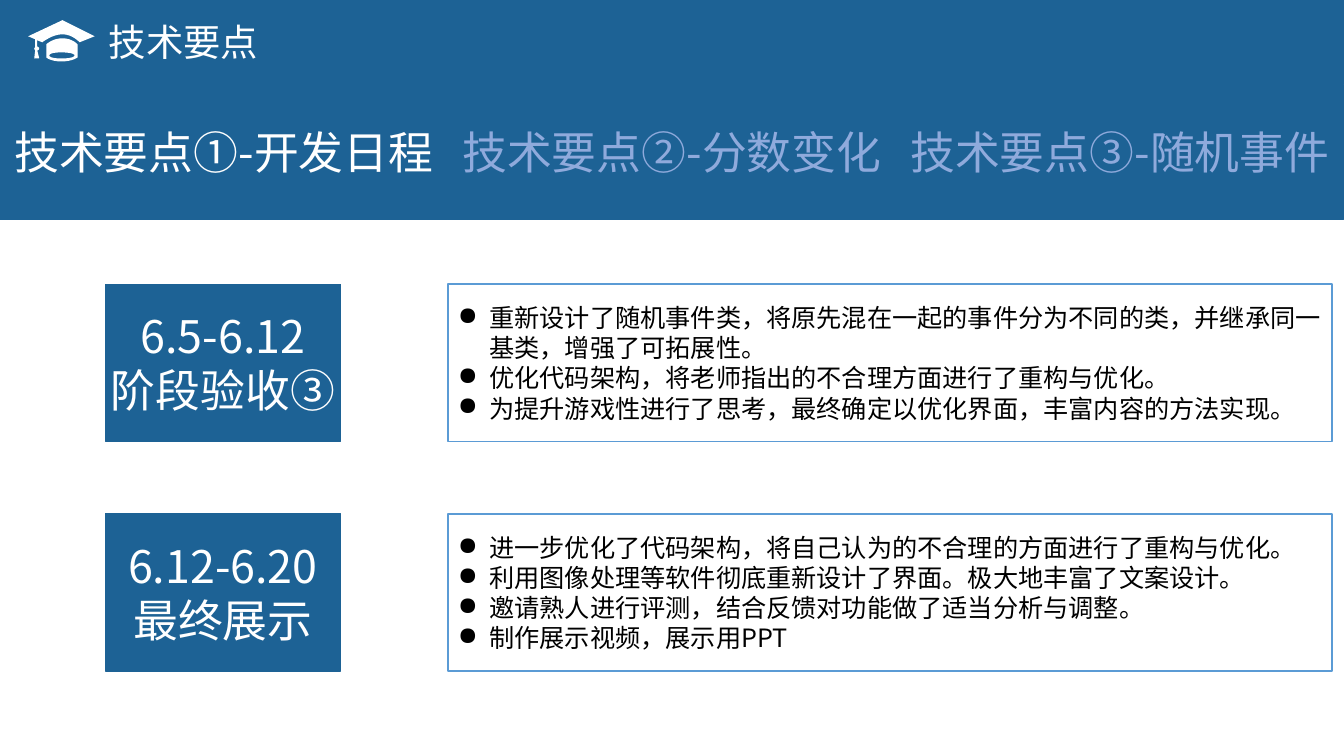
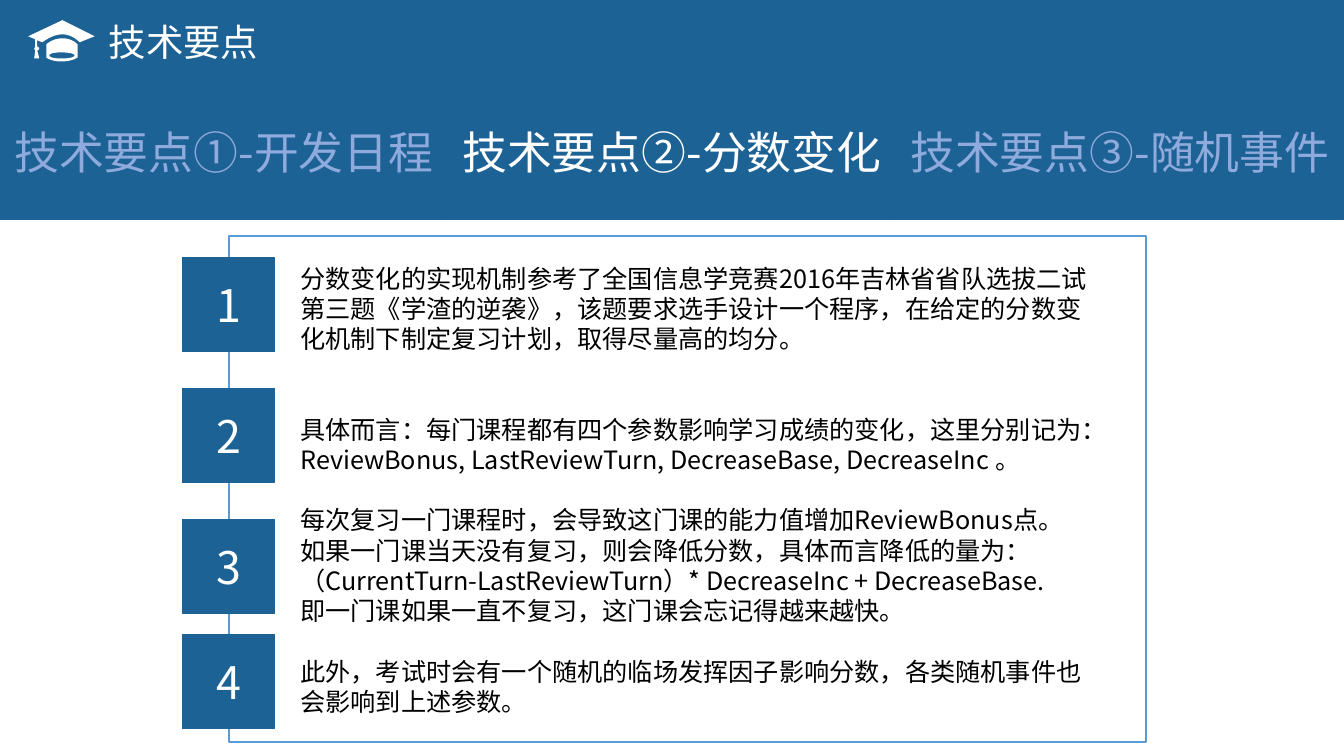
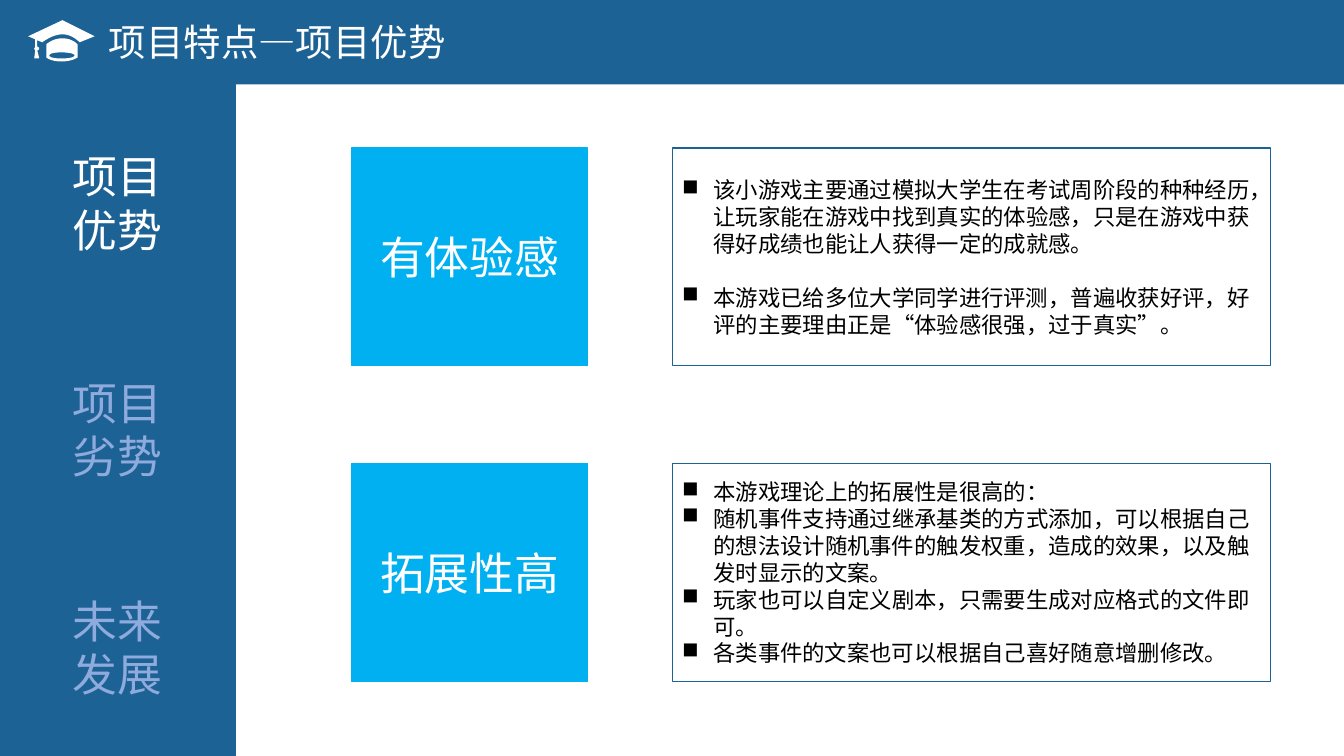
"""Build three slides on the schedule, scoring and strengths of a student game."""
from lxml.etree import SubElement
from pptx import Presentation
from pptx.dml.color import RGBColor
from pptx.enum.shapes import MSO_SHAPE as Kind
from pptx.enum.text import MSO_ANCHOR as Anchor, MSO_AUTO_SIZE as Fit, PP_ALIGN as Align
from pptx.oxml.ns import qn
from pptx.util import Cm, Pt

FONT = "Noto Sans CJK SC"
NAVY, SKY, EDGE = "1D6295", "00B0F0", "5B9BD5"
WHITE, BLACK, FADED = "FFFFFF", "000000", "8FAADC"
WIDE, HIGH, BAND = 33.87, 19.05, 2.13
TILE = 5.94
LEAD = 1.2

TABS = ["技术要点①-开发日程", "技术要点②-分数变化", "技术要点③-随机事件"]

STAGES = [
    (["6.5-6.12", "阶段验收③"], [
        "重新设计了随机事件类，将原先混在一起的事件分为不同的类，并继承同一基类，增强了可拓展性。",
        "优化代码架构，将老师指出的不合理方面进行了重构与优化。",
        "为提升游戏性进行了思考，最终确定以优化界面，丰富内容的方法实现。",
    ], {}),
    (["6.12-6.20", "最终展示"], [
        "进一步优化了代码架构，将自己认为的不合理的方面进行了重构与优化。",
        "利用图像处理等软件彻底重新设计了界面。极大地丰富了文案设计。",
        "邀请熟人进行评测，结合反馈对功能做了适当分析与调整。",
        "制作展示视频，展示用PPT",
    ], {}),
]

SCORING = [
    "分数变化的实现机制参考了全国信息学竞赛2016年吉林省省队选拔二试第三题《学渣的逆袭》，"
    "该题要求选手设计一个程序，在给定的分数变化机制下制定复习计划，取得尽量高的均分。",
    "具体而言：每门课程都有四个参数影响学习成绩的变化，这里分别记为：",
    "ReviewBonus, LastReviewTurn, DecreaseBase, DecreaseInc 。",
    "每次复习一门课程时，会导致这门课的能力值增加ReviewBonus点。",
    "如果一门课当天没有复习，则会降低分数，具体而言降低的量为：",
    "（CurrentTurn-LastReviewTurn）* DecreaseInc + DecreaseBase.",
    "即一门课如果一直不复习，这门课会忘记得越来越快。",
    "此外，考试时会有一个随机的临场发挥因子影响分数，各类随机事件也会影响到上述参数。",
]
SCORE_GAPS = {1: 2, 3: 1, 7: 1}
STEP_TOPS = [6.5, 9.8, 13.08, 16]

SIDE = [["项目", "优势"], ["项目", "劣势"], ["未来", "发展"]]
SIDE_TOPS = [BAND, 8.07, 13.56, HIGH]

MERITS = [
    (["有体验感"], [
        "该小游戏主要通过模拟大学生在考试周阶段的种种经历，让玩家能在游戏中找到真实的体验感，"
        "只是在游戏中获得好成绩也能让人获得一定的成就感。",
        "本游戏已给多位大学同学进行评测，普遍收获好评，好评的主要理由正是“体验感很强，过于真实”。",
    ], {1: 1}),
    (["拓展性高"], [
        "本游戏理论上的拓展性是很高的：",
        "随机事件支持通过继承基类的方式添加，可以根据自己的想法设计随机事件的触发权重，"
        "造成的效果，以及触发时显示的文案。",
        "玩家也可以自定义剧本，只需要生成对应格式的文件即可。",
        "各类事件的文案也可以根据自己喜好随意增删修改。",
    ], {}),
]

CAP_UNIT = Cm(0.0254)
CAP = [
    [(79, 42), (79, 42, 72, 34, 62, 34), (52, 34, 42, 42, 42, 42), (37, 40), (37, 46),
     (38, 47, 39, 47, 39, 48), (39, 49, 38, 50, 37, 50), (39, 58), (34, 58), (35, 50),
     (35, 50, 34, 49, 34, 48), (34, 48, 35, 47, 35, 46), (35, 39), (28, 36), (62, 20), (94, 36)],
    [(62, 38), (72, 38, 77, 44, 77, 44), (77, 57), (77, 57, 72, 61, 61, 61),
     (50, 61, 46, 57, 46, 57), (46, 44), (46, 44, 52, 38, 62, 38)],
    [(61, 58), (68, 58, 74, 57, 74, 55), (74, 53, 68, 52, 61, 52),
     (54, 52, 49, 53, 49, 55), (49, 57, 54, 58, 61, 58)],
]


def rgb(code):
    """Turn a hex string into a colour."""
    return RGBColor.from_string(code)


def write(frame, lines, size, color, align=Align.LEFT, bullet=None, gaps=None):
    """Fill a frame with styled paragraphs; gaps are counted in lines."""
    frame.text = "\n".join(lines)
    for i, para in enumerate(frame.paragraphs):
        para.alignment = align
        if gaps and i in gaps:
            para.space_before = Pt(gaps[i] * size * LEAD)
        if bullet:
            props = para._p.get_or_add_pPr()
            props.set("marL", str(Cm(0.79)))
            props.set("indent", str(-Cm(0.79)))
            SubElement(props, qn("a:buChar")).set("char", bullet)
        for run in para.runs:
            font = run.font
            font.size, font.name = Pt(size), FONT
            font.color.rgb = rgb(color)
            SubElement(font._element, qn("a:ea")).set("typeface", FONT)


def box(slide, x, y, w, h, fill=WHITE, edge=None, width=0.75):
    """Add a plain rectangle."""
    shape = slide.shapes.add_shape(Kind.RECTANGLE, Cm(x), Cm(y), Cm(w), Cm(h))
    shape.shadow.inherit = False
    shape.fill.solid()
    shape.fill.fore_color.rgb = rgb(fill)
    shape.line.color.rgb = rgb(edge or fill)
    shape.line.width = Pt(width)
    shape.text_frame.vertical_anchor = Anchor.MIDDLE
    return shape


def tile(slide, x, y, w, h, lines, fill=NAVY, color=WHITE):
    """Add a filled tile with a large centred label."""
    frame = box(slide, x, y, w, h, fill).text_frame
    frame.word_wrap = False
    write(frame, lines, 32, color, Align.CENTER)


def label(slide, x, y, w, h, lines, size, color, gaps=None):
    """Add a wrapped text box."""
    frame = slide.shapes.add_textbox(Cm(x), Cm(y), Cm(w), Cm(h)).text_frame
    frame.word_wrap = True
    frame.auto_size = Fit.SHAPE_TO_FIT_TEXT
    write(frame, lines, size, color, gaps=gaps)


def trace(parts, steps=8):
    """Turn line and curve parts into a list of points."""
    pts = [parts[0]]
    for part in parts[1:]:
        if len(part) == 2:
            pts.append(part)
            continue
        knots = [pts[-1], part[:2], part[2:4], part[4:]]
        for n in range(1, steps + 1):
            t = n / steps
            mix = [(1 - t) ** 3, 3 * t * (1 - t) ** 2, 3 * t * t * (1 - t), t ** 3]
            pts.append(tuple(sum(m * k[a] for m, k in zip(mix, knots)) for a in (0, 1)))
    return [(round(x * CAP_UNIT), round(y * CAP_UNIT)) for x, y in pts]


def draw_cap(slide):
    """Draw the graduation cap."""
    first, *rest = [trace(parts) for parts in CAP]
    pen = slide.shapes.build_freeform(*first[0])
    pen.add_line_segments(first[1:])
    for pts in rest:
        pen.move_to(*pts[0])
        pen.add_line_segments(pts[1:])
    cap = pen.convert_to_shape()
    cap.shadow.inherit = False
    cap.fill.solid()
    cap.fill.fore_color.rgb = rgb(WHITE)
    cap.line.fill.background()


def start(deck, title):
    """Add a slide with its band, title and cap."""
    slide = deck.slides.add_slide(deck.slide_layouts[6])
    box(slide, 0, 0, WIDE, BAND, NAVY).line.fill.background()
    label(slide, 2.49, 0.36, 10.72, 1.4, [title], 26.7, WHITE)
    draw_cap(slide)
    return slide


def add_tabs(slide, active):
    """Add the row of topic tabs."""
    w = WIDE / len(TABS)
    for i, name in enumerate(TABS):
        tile(slide, i * w, BAND, w, 3.4, [name], color=WHITE if i == active else FADED)


def add_rows(slide, rows, tops, h, left, right, w, fill, edge, width, bullet, size):
    """Add rows of a tile and a bulleted box."""
    for y, (name, lines, gaps) in zip(tops, rows):
        tile(slide, left, y, TILE, h, name, fill)
        frame = box(slide, right, y, w, h, WHITE, edge, width).text_frame
        frame.word_wrap = True
        write(frame, lines, size, BLACK, bullet=bullet, gaps=gaps)


def main():
    """Build and save the deck."""
    deck = Presentation()
    deck.slide_width, deck.slide_height = Cm(WIDE), Cm(HIGH)

    plan = start(deck, "技术要点")
    add_tabs(plan, 0)
    add_rows(plan, STAGES, [7.16, 12.95], 3.96, 2.65, 11.29, 22.28, NAVY, EDGE, 1, "●", 18)

    score = start(deck, "技术要点")
    add_tabs(score, 1)
    box(score, 5.77, 5.95, 23.11, 12.75, WHITE, EDGE, 1)
    for i, y in enumerate(STEP_TOPS, 1):
        tile(score, 4.6, y, 2.32, 2.37, [str(i)])
    label(score, 7.32, 6.5, 20.8, 11.79, SCORING, 18, BLACK, SCORE_GAPS)

    merit = start(deck, "项目特点—项目优势")
    for i, (name, y, end) in enumerate(zip(SIDE, SIDE_TOPS, SIDE_TOPS[1:])):
        tile(merit, 0, y, TILE, end - y, name, color=FADED if i else WHITE)
    add_rows(merit, MERITS, [3.73, 11.68], 5.49, 8.87, 16.94, 15.09, SKY, NAVY, 0.75, "■", 16)

    deck.save("out.pptx")


if __name__ == "__main__":
    main()
